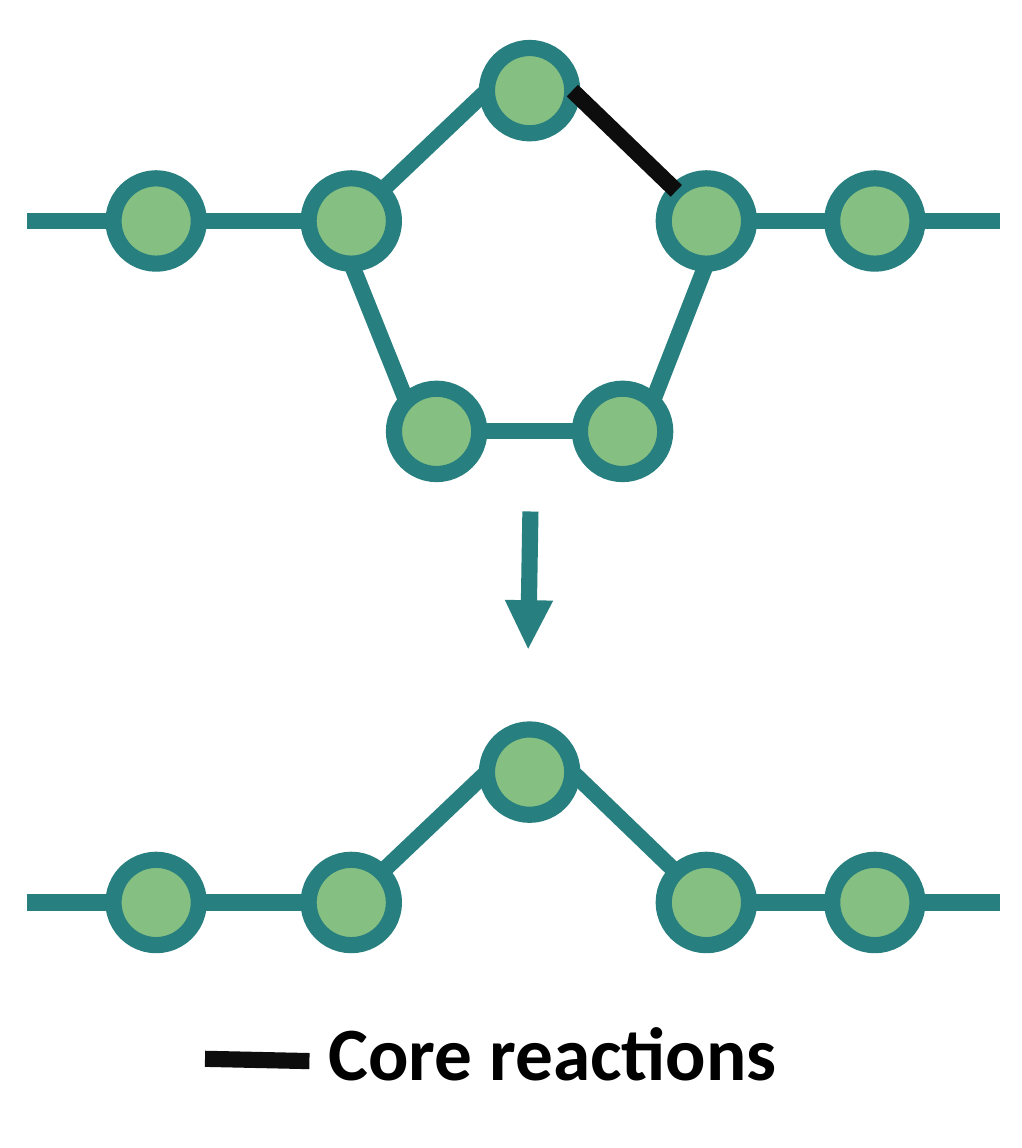
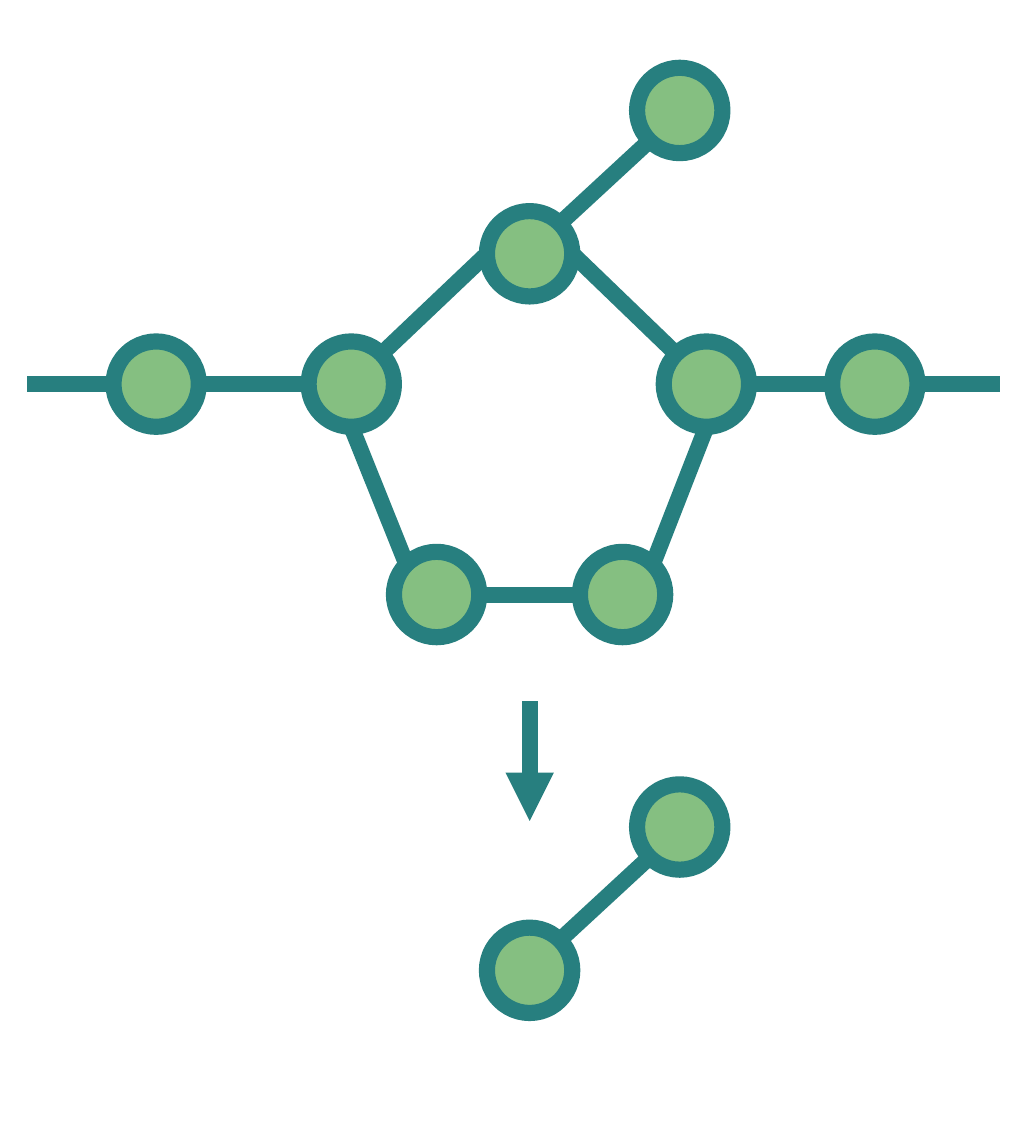
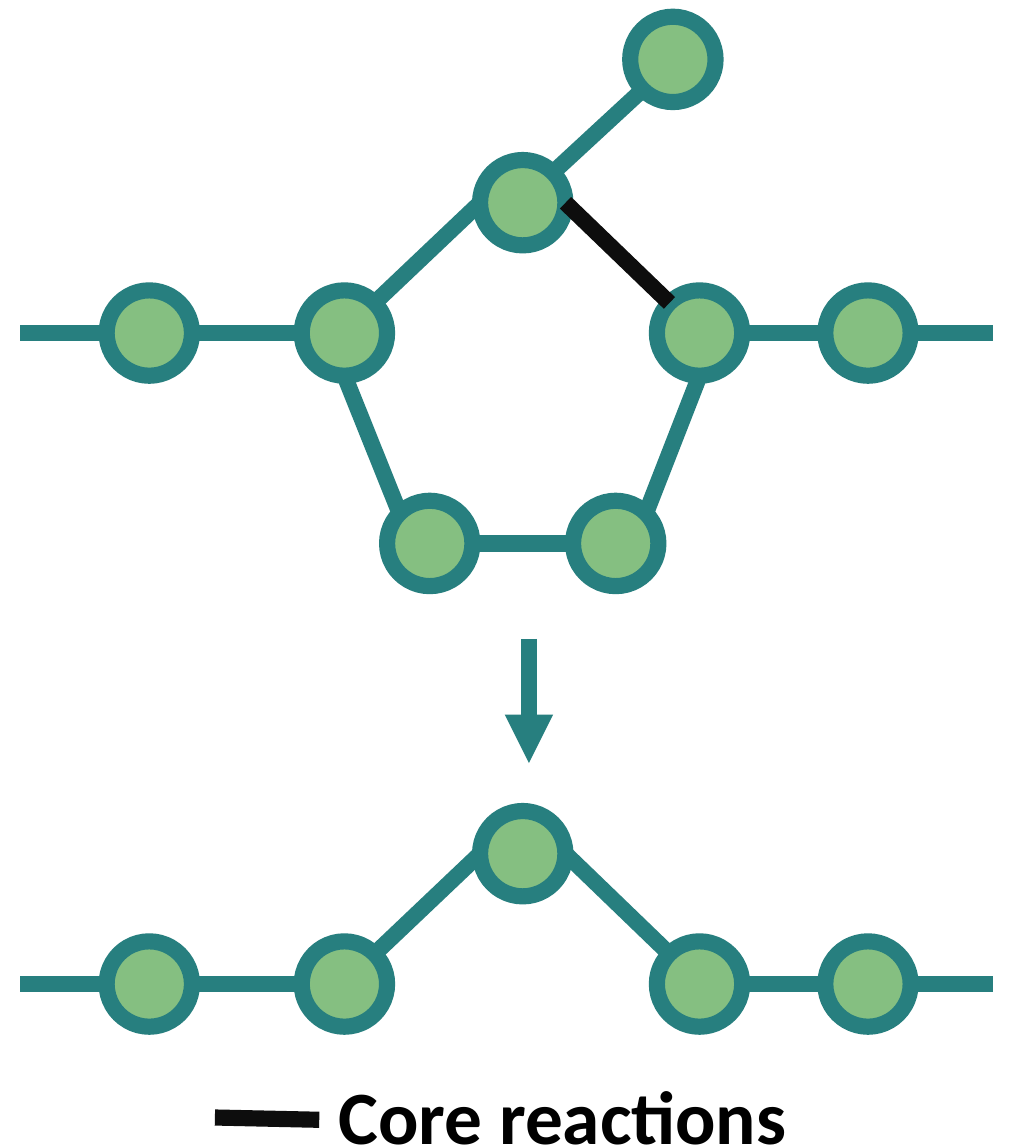
import math

from lxml import etree
from pptx import Presentation
from pptx import util as u
from pptx.dml.color import RGBColor
from pptx.enum import shapes, text
from pptx.oxml.ns import qn

COLOURS = {"node": "85BF81", "bond": "277F7F", "core": "0D0D0D", "text": "000000"}
FONT = "Calibri"
LINE_WIDTH = u.Pt(6)
DIAMETER = 1.12

# Node centres in cm, measured from the peak of the molecule
NODES = {
    "outer_left": (-4.9, 1.71),
    "left": (-2.34, 1.71),
    "right": (2.32, 1.71),
    "outer_right": (4.53, 1.71),
    "peak": (0, 0),
    "low_left": (-1.22, 4.47),
    "low_right": (1.22, 4.47),
    "branch": (1.97, -1.88),
}
CHAIN = ["outer_left", "left", "right", "outer_right", "peak"]
RING = CHAIN + ["low_left", "low_right"]

# Ellipse connection sites, counter-clockwise from the top
TOP, TOP_LEFT, LEFT, BOTTOM_LEFT, BOTTOM, BOTTOM_RIGHT, RIGHT, TOP_RIGHT = range(8)
BONDS = [
    ("outer_left", RIGHT, "left", LEFT),
    ("peak", LEFT, "left", TOP_RIGHT),
    ("peak", RIGHT, "right", TOP_LEFT),
    ("left", BOTTOM, "low_left", TOP_LEFT),
    ("low_right", LEFT, "low_left", RIGHT),
    ("low_right", TOP_RIGHT, "right", BOTTOM),
    ("outer_right", LEFT, "right", RIGHT),
    ("peak", TOP_RIGHT, "branch", BOTTOM_LEFT),
]
CORE_BOND = ("peak", "right")
# Open ends of the chain: node, site, x of the free end from the peak
OPEN_ENDS = [("outer_left", LEFT, -6.6), ("outer_right", RIGHT, 6.17)]

# Molecules: peak position, nodes, whether the core bond is marked
SLIDES = [
    {
        "molecules": [((6.95, 1.19), RING, True), ((6.95, 10.13), CHAIN, False)],
        "arrow": ((6.96, 6.71), (6.93, 8.51)),
        "legend": {"line": (2.69, 13.89), "text_top": 13.06},
    },
    {
        "molecules": [
            ((6.95, 3.33), RING + ["branch"], False),
            ((6.95, 12.73), ["peak", "branch"], False),
        ],
        "arrow": ((6.95, 9.2), (6.95, 10.77)),
        "legend": None,
    },
    {
        "molecules": [
            ((6.86, 2.66), RING + ["branch"], True),
            ((6.86, 11.2), CHAIN, False),
        ],
        "arrow": ((6.94, 8.38), (6.94, 10.01)),
        "legend": {"line": (2.82, 14.66), "text_top": 13.9},
    },
]


def site_point(node, site):
    """Return the point of a connection site on a node, in EMU."""
    angle = math.radians(90 + 45 * site)
    radius = node.width / 2
    return (
        u.Emu(round(node.left + radius * (1 + math.cos(angle)))),
        u.Emu(round(node.top + radius * (1 - math.sin(angle)))),
    )


def add_line(container, begin, end, colour, joints=(), arrow=False):
    """Draw a straight line; joints are (tag, node, site) to glue it to."""
    connector = container.add_connector(shapes.MSO_CONNECTOR.STRAIGHT, *begin, *end)
    connector.line.width = LINE_WIDTH
    connector.line.color.rgb = RGBColor.from_string(COLOURS[colour])
    properties = connector._element.spPr
    if arrow:
        etree.SubElement(properties.find(qn("a:ln")), qn("a:tailEnd"), type="triangle")
    etree.SubElement(properties, qn("a:effectLst"))
    glue = connector._element.find(".//" + qn("p:cNvCxnSpPr"))
    for tag, node, site in joints:
        etree.SubElement(glue, qn(tag), id=str(node.shape_id), idx=str(site))


presentation = Presentation()
presentation.slide_width = u.Cm(13.41)
presentation.slide_height = u.Cm(15.06)

for content in SLIDES:
    slide = presentation.slides.add_slide(presentation.slide_layouts[6])

    for (peak_x, peak_y), names, core_marked in content["molecules"]:
        group = slide.shapes.add_group_shape().shapes

        # Nodes
        nodes = {}
        for name in names:
            x, y = NODES[name]
            shape = group.add_shape(
                shapes.MSO_SHAPE.OVAL,
                u.Cm(peak_x + x - DIAMETER / 2), u.Cm(peak_y + y - DIAMETER / 2),
                u.Cm(DIAMETER), u.Cm(DIAMETER),
            )
            shape.shadow.inherit = False
            shape.fill.solid()
            shape.fill.fore_color.rgb = RGBColor.from_string(COLOURS["node"])
            shape.line.color.rgb = RGBColor.from_string(COLOURS["bond"])
            shape.line.width = LINE_WIDTH
            nodes[name] = shape

        # Bonds between the nodes that are present
        for first, first_site, second, second_site in BONDS:
            if first in nodes and second in nodes:
                is_core = core_marked and (first, second) == CORE_BOND
                add_line(
                    group,
                    site_point(nodes[first], first_site),
                    site_point(nodes[second], second_site),
                    "core" if is_core else "bond",
                    [("a:stCxn", nodes[first], first_site),
                     ("a:endCxn", nodes[second], second_site)],
                )

        # Open ends
        for name, site, end_x in OPEN_ENDS:
            if name in nodes:
                begin = site_point(nodes[name], site)
                add_line(group, begin, (u.Cm(peak_x + end_x), begin[1]), "bond",
                         [("a:stCxn", nodes[name], site)])

    # Reaction arrow
    begin, end = content["arrow"]
    add_line(slide.shapes, map(u.Cm, begin), map(u.Cm, end), "bond", arrow=True)

    # Legend
    legend = content["legend"]
    if legend:
        x, y = legend["line"]
        text_left = x + 1.37
        add_line(slide.shapes, (u.Cm(x), u.Cm(y)),
                 (u.Cm(text_left), u.Cm(y + 0.03)), "core")
        box = slide.shapes.add_textbox(
            u.Cm(text_left), u.Cm(legend["text_top"]), u.Cm(6.48), u.Cm(1.45))
        box.text_frame.word_wrap = False
        box.text_frame.auto_size = text.MSO_AUTO_SIZE.SHAPE_TO_FIT_TEXT
        paragraph = box.text_frame.paragraphs[0]
        run = paragraph.add_run()
        run.text = "Core reactions"
        run.font.name = FONT
        run.font.size = u.Pt(28)
        run.font.bold = True
        run.font.color.rgb = RGBColor.from_string(COLOURS["text"])

presentation.save("out.pptx")
